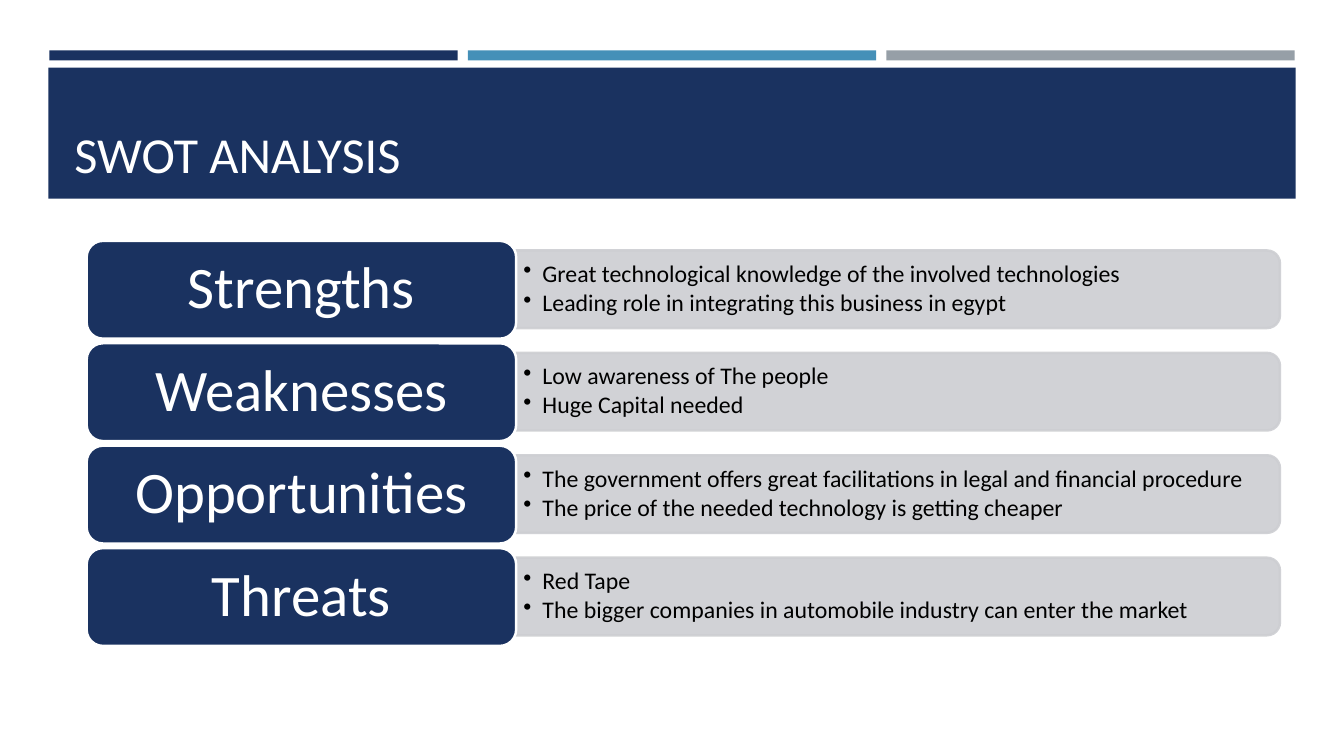
from lxml import etree
from pptx import Presentation
from pptx.dml.color import RGBColor
from pptx.enum.shapes import MSO_SHAPE as SHAPE
from pptx.enum.text import MSO_ANCHOR as ANCHOR, PP_ALIGN as ALIGN
from pptx.oxml.ns import qn
from pptx.util import Inches, Pt

NAVY = RGBColor(0x1A, 0x32, 0x60)
BLUE = RGBColor(0x45, 0x90, 0xB8)
GRAY = RGBColor(0x96, 0x9F, 0xA7)
PALE = RGBColor(0xCD, 0xCE, 0xD2)
WHITE = RGBColor(0xFF, 0xFF, 0xFF)
BLACK = RGBColor(0, 0, 0)

SWOT = [
    ("Strengths", ["Great technological knowledge of the involved technologies",
                   "Leading role in integrating this business in egypt"]),
    ("Weaknesses", ["Low awareness of The people",
                    "Huge Capital needed"]),
    ("Opportunities", ["The government offers great facilitations in legal and financial procedure",
                       "The price of the needed technology is getting cheaper"]),
    ("Threats", ["Red Tape",
                 "The bigger companies in automobile industry can enter the market"]),
]
ROW_TOP, ROW_PITCH = 2.39, 1.016

prs = Presentation()
prs.slide_width, prs.slide_height = Inches(13.33), Inches(7.5)
s = prs.slides.add_slide(prs.slide_layouts[6])


def add_box(kind, x, y, w, h, fill, line=None):
    sp = s.shapes.add_shape(kind, Inches(x), Inches(y), Inches(w), Inches(h))
    sp.shadow.inherit = False
    sp.fill.solid()
    sp.fill.fore_color.rgb = fill
    if line is None:
        sp.line.fill.background()
    else:
        sp.line.color.rgb = line
        sp.line.width = Pt(1.75)
    return sp


def write(sp, lines, size, color, align=ALIGN.LEFT, anchor=ANCHOR.MIDDLE,
          inset=(0.1, 0.05), spacing=0.9, after=0, bullet=False):
    tf = sp.text_frame
    tf.word_wrap = True
    tf.vertical_anchor = anchor
    tf.margin_left = tf.margin_right = Inches(inset[0])
    tf.margin_top = tf.margin_bottom = Inches(inset[1])
    for i, line in enumerate(lines):
        p = tf.paragraphs[0] if i == 0 else tf.add_paragraph()
        p.alignment, p.line_spacing, p.space_after = align, spacing, Pt(after)
        r = p.add_run()
        r.text = line
        r.font.name, r.font.size, r.font.color.rgb = "Calibri", Pt(size), color
        if bullet:
            pPr = p._p.get_or_add_pPr()
            pPr.set("marL", str(Inches(0.19)))
            pPr.set("indent", str(-Inches(0.19)))
            etree.SubElement(pPr, qn("a:buChar")).set("char", "•")


# Header
for i, color in enumerate([NAVY, BLUE, GRAY]):
    add_box(SHAPE.RECTANGLE, 0.49 + i * 4.15, 0.5, 4.05, 0.1, color)
add_box(SHAPE.RECTANGLE, 0.48, 0.67, 12.37, 1.3, NAVY)
title = s.shapes.add_textbox(Inches(0.64), Inches(0.77), Inches(12.06), Inches(1.11))
write(title, ["SWOT ANALYSIS"], 36, WHITE, anchor=ANCHOR.BOTTOM)

# One row per SWOT category
for i, (label, points) in enumerate(SWOT):
    y = ROW_TOP + i * ROW_PITCH

    # Turned a quarter so that the two rounded corners face right
    panel = add_box(SHAPE.ROUND_2_SAME_RECTANGLE, 8.52, y - 3.31, 0.77, 7.58, PALE, PALE)
    panel.rotation = 90
    for clr in panel._element.spPr.iter(qn("a:srgbClr")):
        etree.SubElement(clr, qn("a:alpha")).set("val", "90000")

    tb = s.shapes.add_textbox(Inches(5.12), Inches(y + 0.13), Inches(7.54), Inches(0.7))
    write(tb, points, 17, BLACK, inset=(0.07, 0.04), after=2.5, bullet=True)

    tag = add_box(SHAPE.ROUNDED_RECTANGLE, 0.86, y, 4.26, 0.97, NAVY, WHITE)
    write(tag, [label], 42, WHITE, align=ALIGN.CENTER, inset=(0.17, 0.09))

prs.save("out.pptx")
